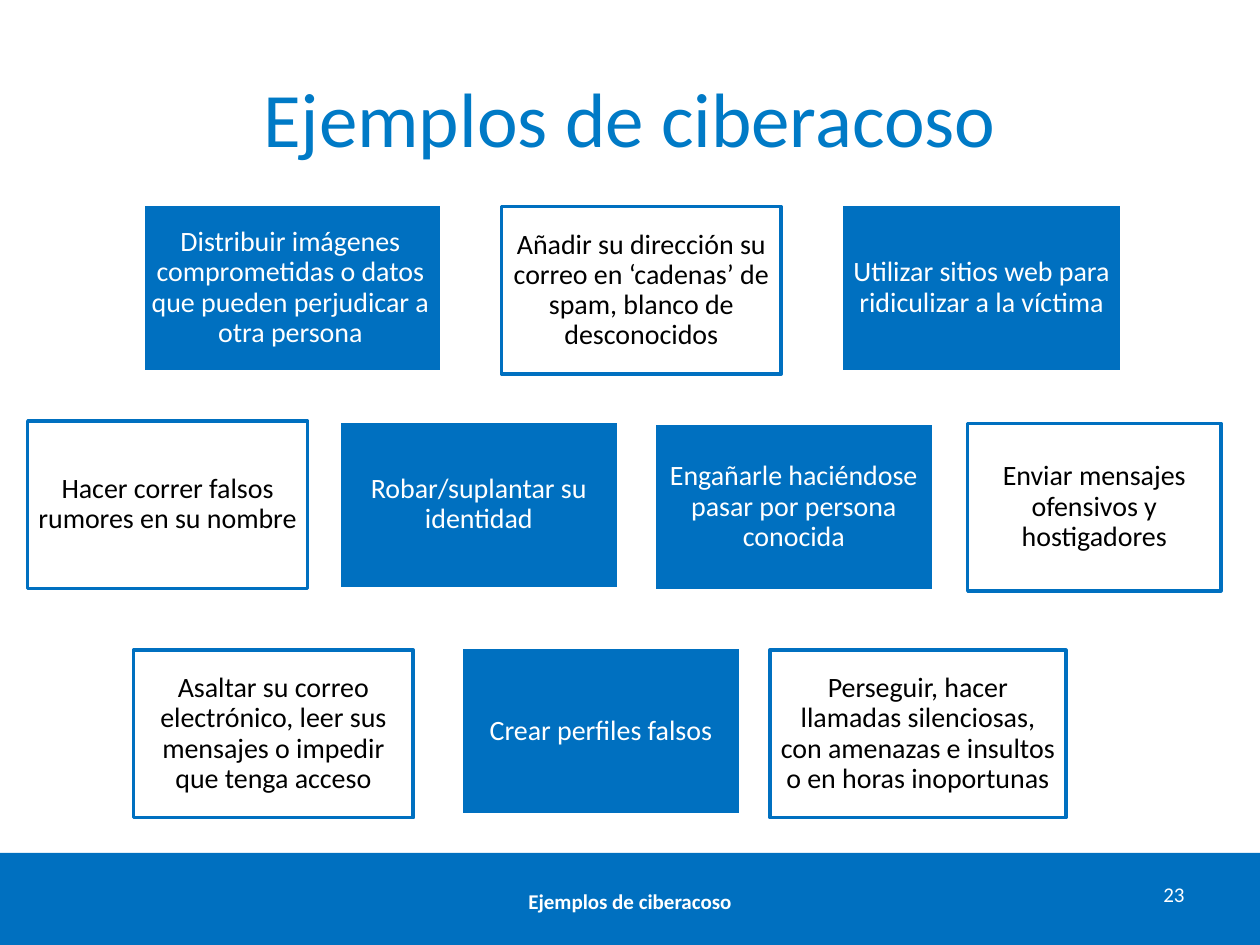
"""Build a slide of ten cyberbullying examples set out in three rows."""
from pptx import Presentation
from pptx.dml.color import RGBColor
from pptx.enum.shapes import MSO_SHAPE
from pptx.enum.text import MSO_ANCHOR, PP_ALIGN
from pptx.util import Inches, Pt

RECTANGLE = MSO_SHAPE.RECTANGLE
TOP, MIDDLE = MSO_ANCHOR.TOP, MSO_ANCHOR.MIDDLE
CENTER, RIGHT = PP_ALIGN.CENTER, PP_ALIGN.RIGHT

COLORS = {"blue": "0070C0", "title": "007AC6", "white": "FFFFFF", "black": "000000"}
STYLES = {
    "solid": {"fill": "blue", "line": "white", "text": "white", "inset": 0.07},
    "outline": {"fill": "white", "line": "blue", "text": "black", "inset": 0.06},
}
WIDTH, HEIGHT = 10, 7.5
CARD_WIDTH, CARD_HEIGHT = 22.2, 17.73
DROP = 0.27

# Each card: left and width in % of the slide, lowered by DROP or not, style, wording.
ROWS = [
    (21.6, [
        (11.4, 23.7, False, "solid",
         "Distribuir imágenes comprometidas o datos que pueden perjudicar a otra persona"),
        (39.8, CARD_WIDTH, True, "outline",
         "Añadir su dirección su correo en ‘cadenas’ de spam, blanco de desconocidos"),
        (66.8, CARD_WIDTH, False, "solid",
         "Utilizar sitios web para ridiculizar a la víctima"),
    ]),
    (44.53, [
        (2.2, CARD_WIDTH, False, "outline", "Hacer correr falsos rumores en su nombre"),
        (26.9, CARD_WIDTH, False, "solid", "Robar/suplantar su identidad"),
        (51.9, CARD_WIDTH, True, "solid",
         "Engañarle haciéndose pasar por persona conocida"),
        (76.8, 20.1, True, "outline", "Enviar mensajes ofensivos y hostigadores"),
    ]),
    (68.53, [
        (10.6, CARD_WIDTH, True, "outline",
         "Asaltar su correo electrónico, leer sus mensajes o impedir que tenga acceso"),
        (36.6, CARD_WIDTH, False, "solid", "Crear perfiles falsos"),
        (61.1, 23.5, True, "outline",
         "Perseguir, hacer llamadas silenciosas, con amenazas e insultos "
         "o en horas inoportunas"),
    ]),
]
LABELS = [
    ((5, 4, 90, 16.67), "Ejemplos de ciberacoso", 44, "title", False, CENTER, MIDDLE),
    ((71.7, 92.67, 23.3, 5.33), "23", 12, "white", False, RIGHT, TOP),
    ((31.9, 92.67, 36.2, 5.33), "Ejemplos de ciberacoso", 12, "white", True, CENTER, MIDDLE),
]
FOOTER = (0, 90.27, 100, 9.73)


def color(name):
    return RGBColor.from_string(COLORS[name])


def place(left, top, width, height):
    return (Inches(left * WIDTH / 100), Inches(top * HEIGHT / 100),
            Inches(width * WIDTH / 100), Inches(height * HEIGHT / 100))


def write(box, text, size, tint, bold=False, align=CENTER, anchor=MIDDLE):
    frame = box.text_frame
    frame.word_wrap = True
    frame.vertical_anchor = anchor
    para = frame.paragraphs[0]
    para.text = text
    para.alignment = align
    para.font.name = "Calibri"
    para.font.size = Pt(size)
    para.font.bold = bold
    para.font.color.rgb = color(tint)
    return frame


def add_block(page, area, fill):
    block = page.shapes.add_shape(RECTANGLE, *place(*area))
    block.shadow.inherit = False
    block.fill.solid()
    block.fill.fore_color.rgb = color(fill)
    block.line.fill.background()
    return block


def add_card(page, area, style, text):
    card = add_block(page, area, style["fill"])
    card.line.color.rgb = color(style["line"])
    card.line.width = Pt(2)
    frame = write(card, text, 16, style["text"])
    frame.paragraphs[0].line_spacing = 0.9
    inset = Inches(style["inset"])
    frame.margin_top = frame.margin_bottom = inset
    wide_solid = style["fill"] == "blue" and area[2] > CARD_WIDTH
    frame.margin_left = 0 if wide_solid else inset
    frame.margin_right = Inches(0.04) if wide_solid else inset


def main():
    deck = Presentation()
    deck.slide_width, deck.slide_height = Inches(WIDTH), Inches(HEIGHT)
    page = deck.slides.add_slide(deck.slide_layouts[6])
    add_block(page, FOOTER, "blue")
    for row_top, cards in ROWS:
        for left, width, lowered, style, text in cards:
            top = row_top + DROP * lowered
            add_card(page, (left, top, width, CARD_HEIGHT), STYLES[style], text)
    for area, *label in LABELS:
        write(page.shapes.add_textbox(*place(*area)), *label)
    deck.save("out.pptx")


if __name__ == "__main__":
    main()
